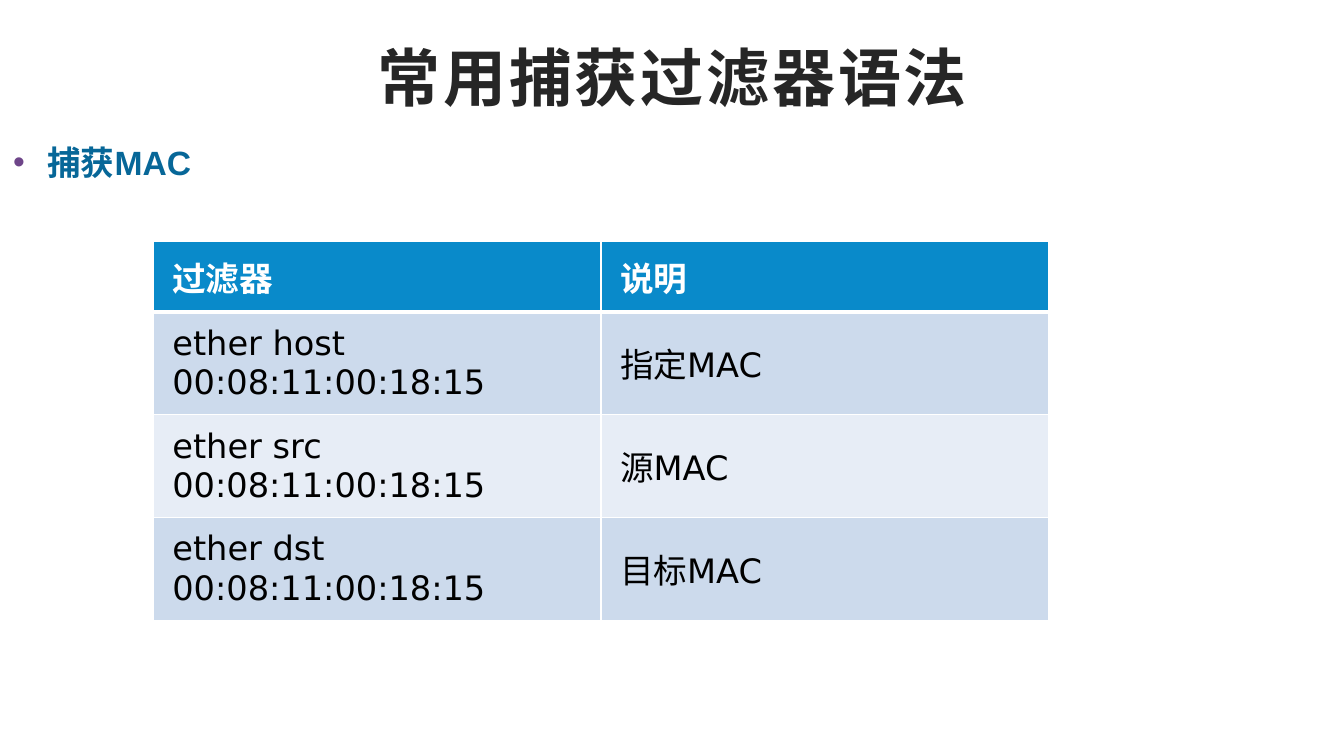
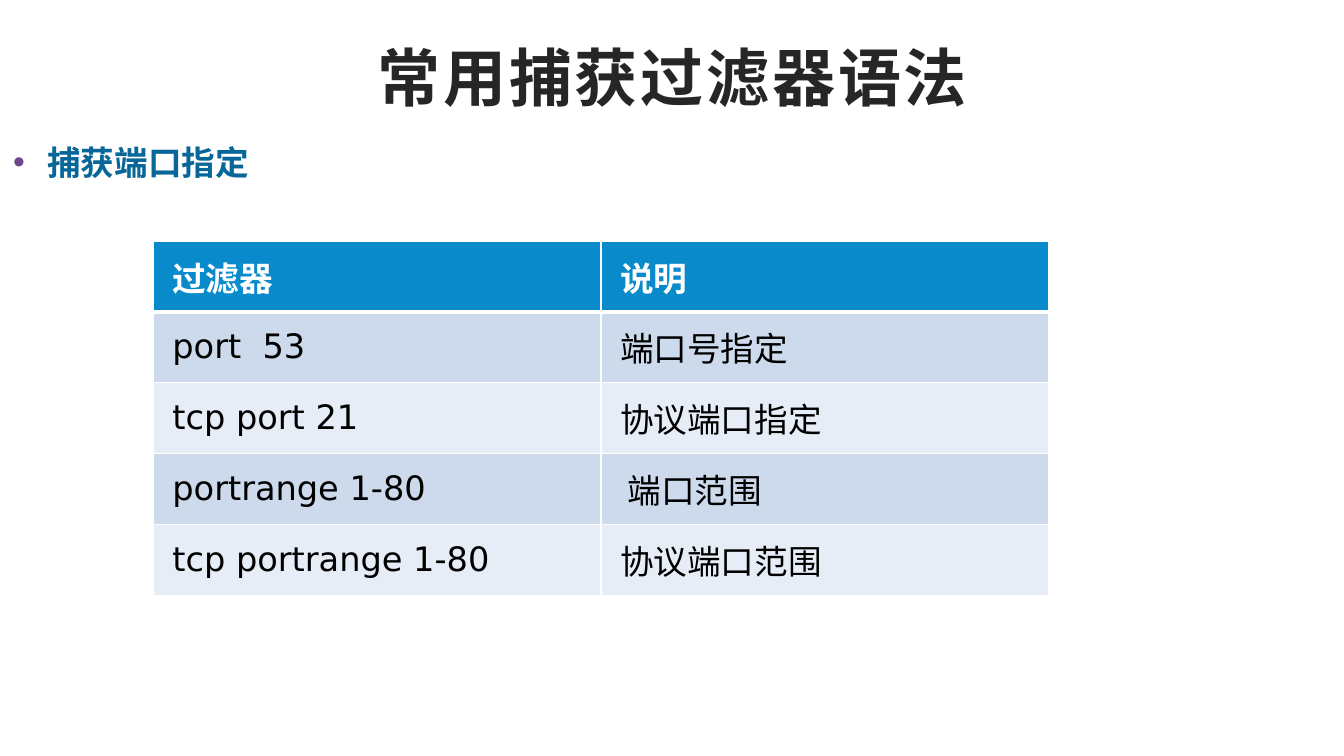
from lxml import etree
from pptx import Presentation
from pptx.dml.color import RGBColor
from pptx.enum.text import MSO_ANCHOR, MSO_AUTO_SIZE, PP_ALIGN
from pptx.oxml.ns import qn
from pptx.util import Inches, Pt

TOP, MIDDLE = MSO_ANCHOR.TOP, MSO_ANCHOR.MIDDLE
NO_FIT = MSO_AUTO_SIZE.NONE
CENTER = PP_ALIGN.CENTER

WHITE, BLACK = "FFFFFF", "000000"
INK, TEAL, PURPLE = "262626", "076798", "6E4589"
HEAD, BANDS = "098ACA", ("CCDAEC", "E7EDF6")

TITLE = "常用捕获过滤器语法"
HEADS = ("过滤器", "说明")
PAGES = [
    ("捕获MAC", 1.02, [
        ("ether host 00:08:11:00:18:15", "指定MAC"),
        ("ether src 00:08:11:00:18:15", "源MAC"),
        ("ether dst 00:08:11:00:18:15", "目标MAC"),
    ]),
    ("捕获端口指定", 0.62, [
        ("port  53", "端口号指定"),
        ("tcp port 21", "协议端口指定"),
        ("portrange 1-80", " 端口范围"),
        ("tcp portrange 1-80", "协议端口范围"),
    ]),
]


def style(para, size, color, bold=True, face="Arial"):
    """Format every run of a paragraph."""
    for run in para.runs:
        font = run.font
        font.size, font.bold, font.name = Pt(size), bold, face
        font.color.rgb = RGBColor.from_string(color)


def place(shape, text, left, top, width, height):
    """Move a placeholder, fill it and return its paragraph."""
    shape.left, shape.top = Inches(left), Inches(top)
    shape.width, shape.height = Inches(width), Inches(height)
    frame = shape.text_frame
    frame.text = text
    frame.word_wrap, frame.auto_size = True, NO_FIT
    frame.vertical_anchor = TOP
    frame.margin_left = frame.margin_right = Inches(0.13)
    frame.margin_top = frame.margin_bottom = Inches(0.07)
    return frame.paragraphs[0]


prs = Presentation()
prs.slide_width, prs.slide_height = Inches(13.33), Inches(7.5)

for topic, height, rows in PAGES:
    slide = prs.slides.add_slide(prs.slide_layouts[1])

    para = place(slide.shapes.title, TITLE, 0.92, 0.4, 11.5, 1.45)
    para.alignment, para.line_spacing = CENTER, 0.9
    style(para, 45, INK)
    para.runs[0].font._element.set("spc", "200")

    para = place(slide.placeholders[1], topic, 0, 1.34, 11.6, 0.84)
    para.space_before = Pt(0)
    props = para._p.get_or_add_pPr()
    props.set("marL", str(Inches(0.34)))
    props.set("indent", str(-Inches(0.34)))
    tint = etree.SubElement(props, qn("a:buClr"))
    etree.SubElement(tint, qn("a:srgbClr"), val=PURPLE)
    etree.SubElement(props, qn("a:buFont"), typeface="Arial")
    etree.SubElement(props, qn("a:buChar"), char="•")
    style(para, 24, TEAL)

    lines = [HEADS] + rows
    total = 0.62 + height * len(rows)
    table = slide.shapes.add_table(
        len(lines), 2, Inches(1.52), Inches(2.39),
        Inches(8.88), Inches(total)).table
    for r, line in enumerate(lines):
        table.rows[r].height = Inches(height if r else 0.62)
        for c, text in enumerate(line):
            cell = table.cell(r, c)
            cell.text = text
            cell.vertical_anchor = MIDDLE
            cell.margin_left = cell.margin_right = Inches(0.19)
            cell.margin_top = cell.margin_bottom = Inches(0.11)
            props = cell._tc.get_or_add_tcPr()
            for side in "LRTB":
                thick = (r, side) in ((0, "B"), (1, "T"))
                edge = etree.SubElement(props, qn("a:ln" + side),
                                        w=str(Pt(3 if thick else 1)))
                fill = etree.SubElement(edge, qn("a:solidFill"))
                etree.SubElement(fill, qn("a:srgbClr"), val=WHITE)
            cell.fill.solid()
            shade = BANDS[(r - 1) % 2] if r else HEAD
            cell.fill.fore_color.rgb = RGBColor.from_string(shade)
            para = cell.text_frame.paragraphs[0]
            if r:
                style(para, 24, BLACK, False, "DejaVu Sans")
            else:
                style(para, 24, WHITE)

prs.save("out.pptx")
